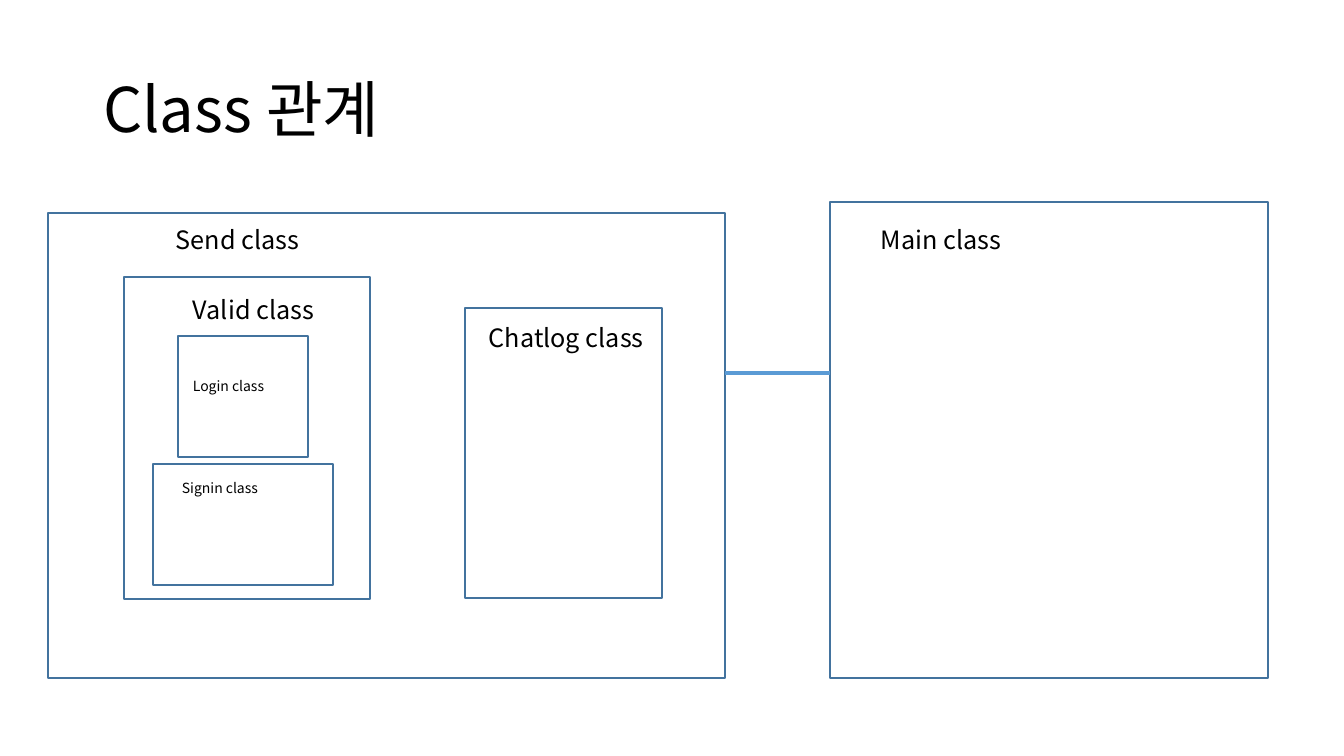
from lxml.etree import SubElement
from pptx import Presentation
from pptx.dml.color import RGBColor
from pptx.enum.shapes import MSO_CONNECTOR, MSO_SHAPE
from pptx.enum.text import MSO_ANCHOR, MSO_AUTO_SIZE, PP_ALIGN
from pptx.oxml.ns import qn
from pptx.util import Pt

PX = 9071  # EMU per px, at 100.8 px to the inch
FONT = "Noto Sans CJK KR"
WHITE = RGBColor(0xFF, 0xFF, 0xFF)
BLACK = RGBColor(0x00, 0x00, 0x00)
BORDER = RGBColor(0x43, 0x73, 0x9E)
LINK = RGBColor(0x5B, 0x9B, 0xD5)


def scale(*lengths):
    return [length * PX for length in lengths]


def write(frame, text, size):
    frame.word_wrap = True
    para = frame.paragraphs[0]
    para.text = text
    para.alignment = PP_ALIGN.LEFT
    para.font.size = Pt(size)
    para.font.name = FONT
    para.font.color.rgb = BLACK
    return para


deck = Presentation()
deck.slide_width, deck.slide_height = scale(1344, 756)
page = deck.slides.add_slide(deck.slide_layouts[5])

# Title
title = page.shapes.title
title.left, title.top, title.width, title.height = scale(93, 40, 1159, 146)
title.text_frame.auto_size = MSO_AUTO_SIZE.NONE
title.text_frame.vertical_anchor = MSO_ANCHOR.MIDDLE
heading = write(title.text_frame, "Class 관계", 44)
heading.line_spacing = 0.9
SubElement(heading.font._element, qn("a:ea"), typeface=FONT)

# Class boxes, outer before inner: box bounds, label, label bounds, size
classes = [
    ((48, 213, 677, 465), "Send class", (166, 219, 203, 40), 18),
    ((124, 277, 246, 322), "Valid class", (183, 289, 186, 40), 18),
    ((178, 336, 130, 121), "Login class", (183, 373, 137, 27), 10),
    ((153, 464, 180, 121), "Signin class", (172, 475, 191, 27), 10),
    ((465, 308, 197, 290), "Chatlog class", (479, 317, 183, 40), 18),
    ((830, 202, 438, 476), "Main class", (871, 219, 346, 40), 18),
]
for bounds, _, _, _ in classes:
    box = page.shapes.add_shape(MSO_SHAPE.RECTANGLE, *scale(*bounds))
    box.shadow.inherit = False
    box.fill.solid()
    box.fill.fore_color.rgb = WHITE
    box.line.color.rgb = BORDER
    box.line.width = Pt(1)

# Class labels
for _, name, bounds, size in classes:
    label = page.shapes.add_textbox(*scale(*bounds))
    write(label.text_frame, name, size)
    label.text_frame.auto_size = MSO_AUTO_SIZE.SHAPE_TO_FIT_TEXT

# Link from Send class to Main class
link = page.shapes.add_connector(MSO_CONNECTOR.STRAIGHT, *scale(725, 373, 830, 373))
link.line.color.rgb = LINK
link.line.width = Pt(2.5)
SubElement(link._element.spPr, qn("a:effectLst"))

deck.save("out.pptx")
